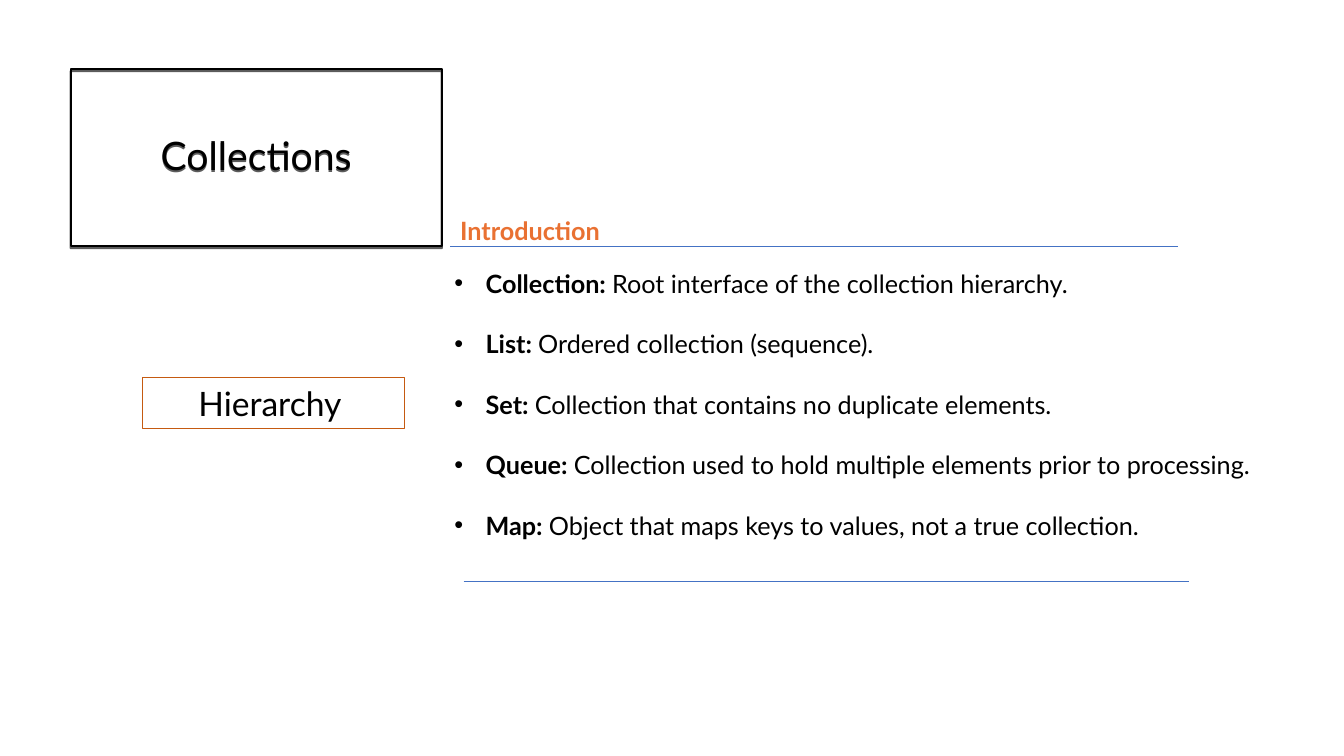
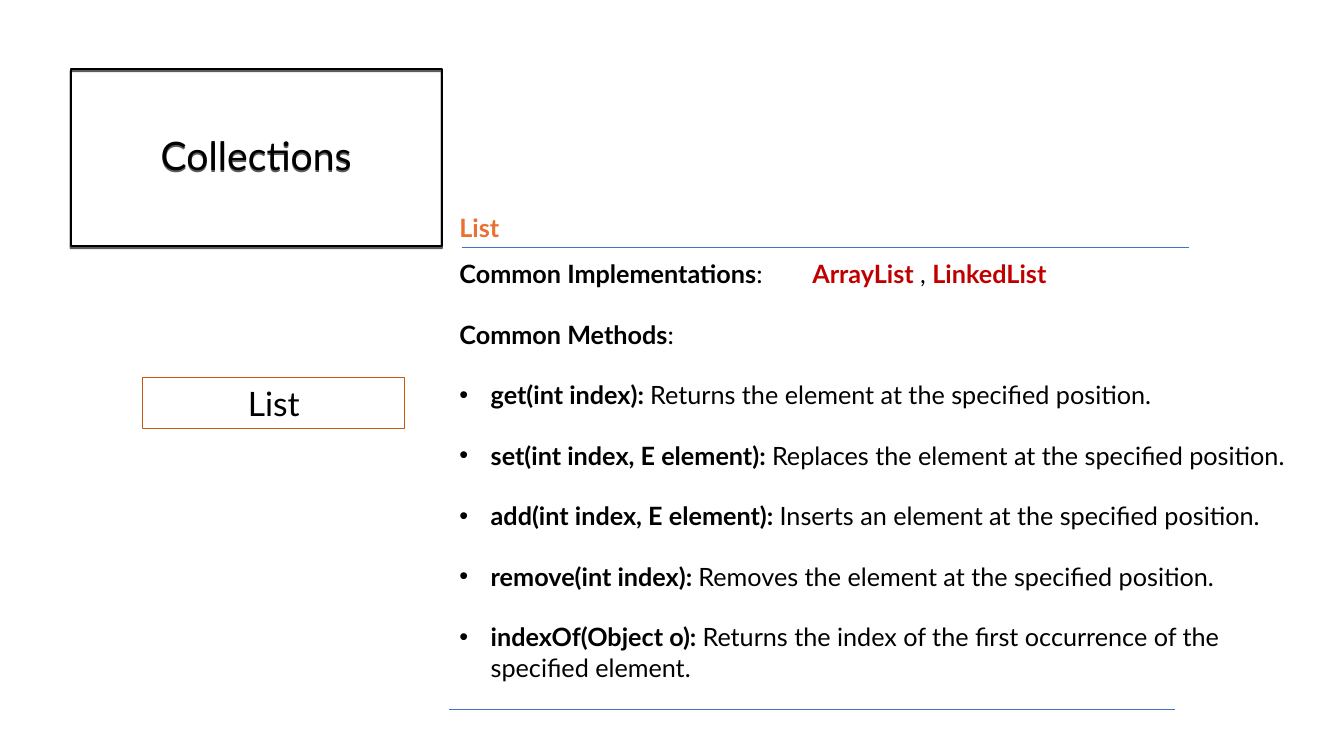
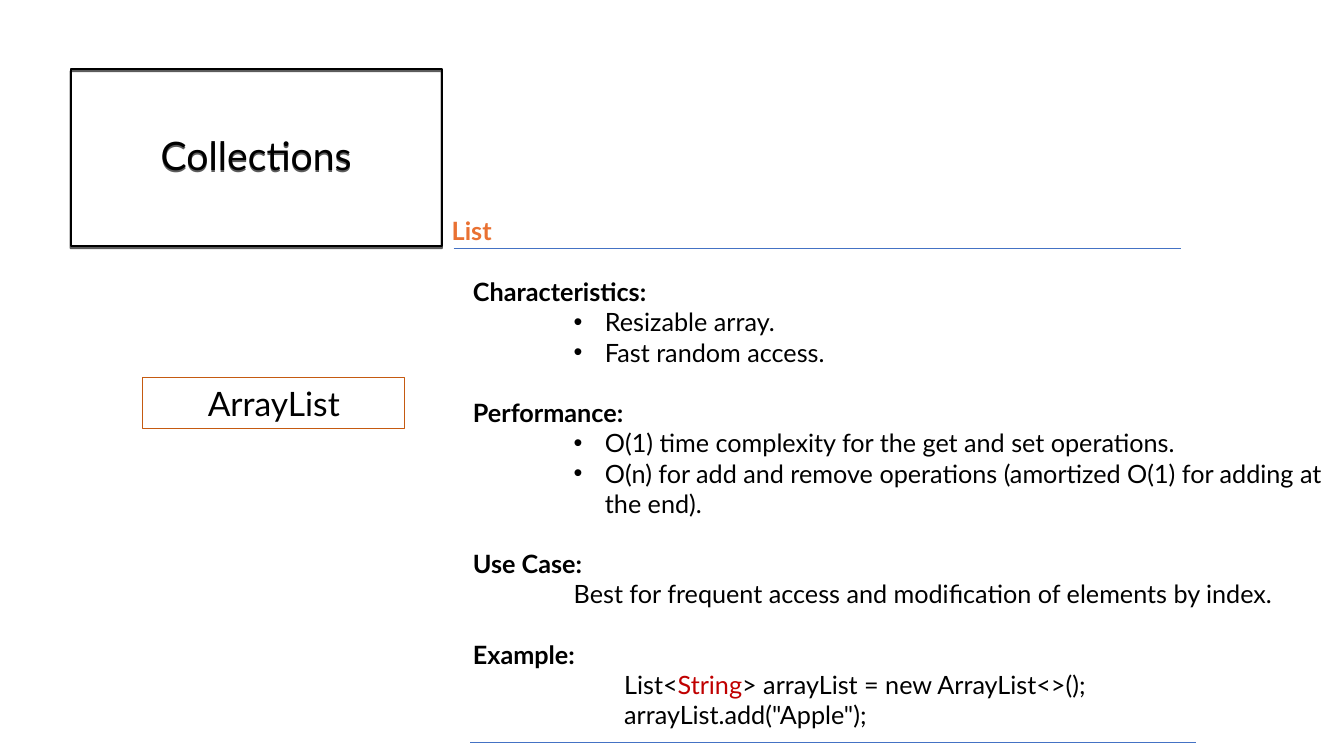
from dataclasses import dataclass
from typing import Any, NamedTuple

from lxml.etree import SubElement
from pptx import Presentation
from pptx.dml.color import RGBColor
from pptx.enum.shapes import MSO_CONNECTOR
from pptx.enum.text import MSO_ANCHOR, MSO_AUTO_SIZE, PP_ALIGN
from pptx.oxml.ns import qn
from pptx.util import Emu, Inches, Pt


@dataclass(frozen=True)
class Theme:
    font: str = "Lato"
    ink: str = "000000"
    accent: str = "E97132"
    code: str = "C00000"
    rule: str = "4472C4"
    badge: str = "C55A11"
    title_size: float = 28
    badge_size: float = 24
    body_size: float = 18
    line_gap: float = 21.6
    rule_width: float = 0.5
    badge_width: float = 0.75
    title_width: float = 1.5


class Box(NamedTuple):
    col: float
    row: float
    cols: float
    rows: float


class Layout(NamedTuple):
    level: int
    left: float
    hanging: float = 0
    bullet: bool = False
    tab: float = 0


class Run(NamedTuple):
    text: str
    bold: bool = False
    color: str = ""


class Para(NamedTuple):
    layout: Layout
    runs: tuple[Run, ...]
    gap: int = 0


class Rule(NamedTuple):
    col: float
    row: float
    cols: float


class Topic(NamedTuple):
    badge: str
    heading: str
    heading_at: Box
    rules: tuple[Rule, ...]
    body_at: Box
    paras: tuple[Para, ...]


T = Theme()
WIDTH, HEIGHT = Inches(13.333), Inches(7.5)
COLS, ROWS = 16, 9
TITLE_AT = Box(0.84, 0.82, 4.42, 2.11)
BADGE_AT = Box(1.7, 4.5, 3.12, 0.6)

PLAIN = Layout(0, 0)
TABBED = Layout(0, 0, tab=4.13)
BULLET = Layout(0, 0.31, 0.31, True)
SUB_BULLET = Layout(2, 1.31, 0.31, True)
NOTE = Layout(0, 1)
CODE = Layout(3, 1.5)


def x(cols: float) -> Emu:
    return Emu(round(WIDTH * cols / COLS))


def y(rows: float) -> Emu:
    return Emu(round(HEIGHT * rows / ROWS))


def place(box: Box) -> dict[str, Emu]:
    return {"left": x(box.col), "top": y(box.row), "width": x(box.cols), "height": y(box.rows)}


def apply(target: Any, values: dict[str, Any]) -> None:
    for name, value in values.items():
        setattr(target, name, value)


def stroke(line: Any, color: str, width: float) -> None:
    line.color.rgb = RGBColor.from_string(color)
    line.width = Pt(width)


def add_run(p: Any, text: str, size: float, color: str, bold: bool = False) -> None:
    r = p.add_run()
    apply(r, {"text": text})
    apply(r.font, {"name": T.font, "size": Pt(size), "bold": bold})
    r.font.color.rgb = RGBColor.from_string(color)


def add_title(s: Any, text: str) -> None:
    sp = s.shapes.title
    apply(sp, place(TITLE_AT))
    sp.fill.background()
    stroke(sp.line, T.ink, T.title_width)
    effects = SubElement(sp.element.spPr, qn("a:effectLst"))
    shadow = SubElement(effects, qn("a:outerShdw"), blurRad="0", dist=str(Pt(1.5)),
                        dir="5400000", rotWithShape="0")
    SubElement(SubElement(shadow, qn("a:srgbClr"), val=T.ink), qn("a:alpha"), val="63000")
    tf = sp.text_frame
    apply(tf, {"vertical_anchor": MSO_ANCHOR.MIDDLE, "word_wrap": True,
               "auto_size": MSO_AUTO_SIZE.NONE})
    p = tf.paragraphs[0]
    apply(p, {"alignment": PP_ALIGN.CENTER, "line_spacing": 0.9})
    add_run(p, text, T.title_size, T.ink)


def add_label(s: Any, box: Box, text: str, size: float, color: str,
              bold: bool = False, align: PP_ALIGN = PP_ALIGN.LEFT) -> Any:
    sp = s.shapes.add_textbox(**place(box))
    tf = sp.text_frame
    apply(tf, {"word_wrap": True, "auto_size": MSO_AUTO_SIZE.SHAPE_TO_FIT_TEXT})
    p = tf.paragraphs[0]
    p.alignment = align
    add_run(p, text, size, color, bold)
    return sp


def add_rule(s: Any, rule: Rule) -> None:
    line = s.shapes.add_connector(MSO_CONNECTOR.STRAIGHT, x(rule.col), y(rule.row),
                                  x(rule.col + rule.cols), y(rule.row))
    stroke(line.line, T.rule, T.rule_width)
    SubElement(line.element.spPr, qn("a:effectLst"))


def set_layout(p: Any, layout: Layout) -> None:
    p.level = layout.level
    ppr = p._p.get_or_add_pPr()
    ppr.set("marL", str(Inches(layout.left)))
    ppr.set("indent", str(-Inches(layout.hanging)))
    if layout.bullet:
        SubElement(ppr, qn("a:buFont"), typeface="Arial")
        SubElement(ppr, qn("a:buChar"), char="•")
    else:
        SubElement(ppr, qn("a:buNone"))
    if layout.tab:
        tabs = SubElement(ppr, qn("a:tabLst"))
        SubElement(tabs, qn("a:tab"), pos=str(Inches(layout.tab)), algn="l")


def add_body(s: Any, box: Box, paras: tuple[Para, ...]) -> None:
    sp = s.placeholders[1]
    apply(sp, place(box))
    tf = sp.text_frame
    apply(tf, {"word_wrap": True, "auto_size": MSO_AUTO_SIZE.NONE,
               "vertical_anchor": MSO_ANCHOR.TOP})
    for i, para in enumerate(paras):
        p = tf.add_paragraph() if i else tf.paragraphs[0]
        apply(p, {"alignment": PP_ALIGN.LEFT, "line_spacing": 1.0, "space_before": Pt(0),
                  "space_after": Pt(T.line_gap * para.gap)})
        set_layout(p, para.layout)
        for run in para.runs:
            add_run(p, run.text, T.body_size, run.color or T.ink, run.bold)


def add_topic(prs: Any, topic: Topic) -> None:
    s = prs.slides.add_slide(prs.slide_layouts[1])
    add_title(s, "Collections")
    for rule in topic.rules:
        add_rule(s, rule)
    add_label(s, topic.heading_at, topic.heading, T.body_size, T.accent, True)
    badge = add_label(s, BADGE_AT, topic.badge, T.badge_size, T.ink, align=PP_ALIGN.CENTER)
    stroke(badge.line, T.badge, T.badge_width)
    add_body(s, topic.body_at, topic.paras)


def terms(*pairs: tuple[str, str]) -> tuple[Para, ...]:
    last = len(pairs) - 1
    return tuple(Para(BULLET, (Run(f"{term} ", True), Run(meaning)), int(i < last))
                 for i, (term, meaning) in enumerate(pairs))


def section(head: str, layout: Layout, *lines: str, gap: int = 1) -> tuple[Para, ...]:
    last = len(lines) - 1
    return (Para(PLAIN, (Run(head, True),)),
            *(Para(layout, (Run(line),), gap if i == last else 0)
              for i, line in enumerate(lines)))


TOPICS = (
    Topic(
        "Hierarchy ", "Introduction", Box(5.36, 2.5, 3.14, 0.48),
        (Rule(5.36, 2.93, 8.66), Rule(5.52, 6.92, 8.64)),
        Box(5.29, 3.13, 9.91, 3.4),
        terms(
            ("Collection:", "Root interface of the collection hierarchy."),
            ("List:", "Ordered collection (sequence)."),
            ("Set:", "Collection that contains no duplicate elements."),
            ("Queue:", "Collection used to hold multiple elements prior to processing."),
            ("Map:", "Object that maps keys to values, not a true collection."),
        ),
    ),
    Topic(
        "List", "List", Box(5.35, 2.47, 3.01, 0.48),
        (Rule(5.5, 2.95, 8.66), Rule(5.35, 8.44, 8.64)),
        Box(5.35, 3.02, 10.25, 5.21),
        (
            Para(TABBED, (Run("Common Implementations", True), Run(":\t"),
                          Run("ArrayList", True, T.code), Run(" , "),
                          Run("LinkedList", True, T.code)), 1),
            Para(PLAIN, (Run("Common Methods", True), Run(":")), 1),
            *terms(
                ("get(int index):", "Returns the element at the specified position."),
                ("set(int index, E element):", "Replaces the element at the specified position."),
                ("add(int index, E element):", "Inserts an element at the specified position."),
                ("remove(int index):", "Removes the element at the specified position."),
                ("indexOf(Object o):",
                 "Returns the index of the first occurrence of the specified element."),
            ),
        ),
    ),
    Topic(
        "ArrayList", "List", Box(5.26, 2.5, 3.01, 0.48),
        (Rule(5.4, 2.96, 8.66), Rule(5.6, 8.84, 8.64)),
        Box(5.51, 3.23, 10.49, 5.57),
        (
            *section("Characteristics:", SUB_BULLET, "Resizable array.", "Fast random access."),
            *section("Performance:", SUB_BULLET,
                     "O(1) time complexity for the get and set operations.",
                     "O(n) for add and remove operations (amortized O(1) for adding at the end)."),
            *section("Use Case:", NOTE,
                     "Best for frequent access and modification of elements by index."),
            *section("Example:", CODE),
            Para(CODE, (Run("List<"), Run("String", color=T.code),
                        Run("> arrayList = new ArrayList<>();"))),
            Para(CODE, (Run('arrayList.add("Apple");'),)),
        ),
    ),
)


def main() -> None:
    prs = Presentation()
    apply(prs, {"slide_width": WIDTH, "slide_height": HEIGHT})
    for topic in TOPICS:
        add_topic(prs, topic)
    prs.save("out.pptx")


if __name__ == "__main__":
    main()
